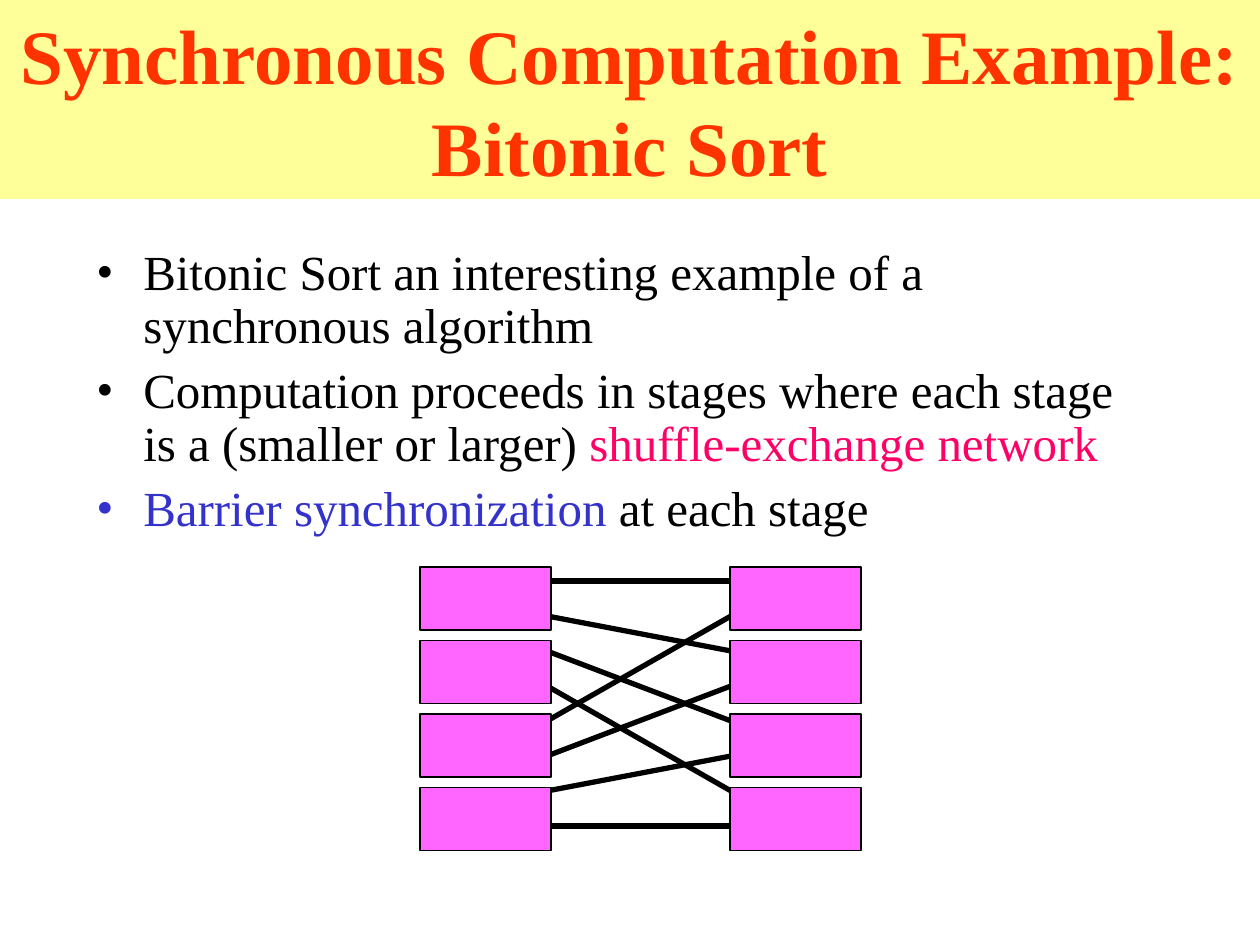
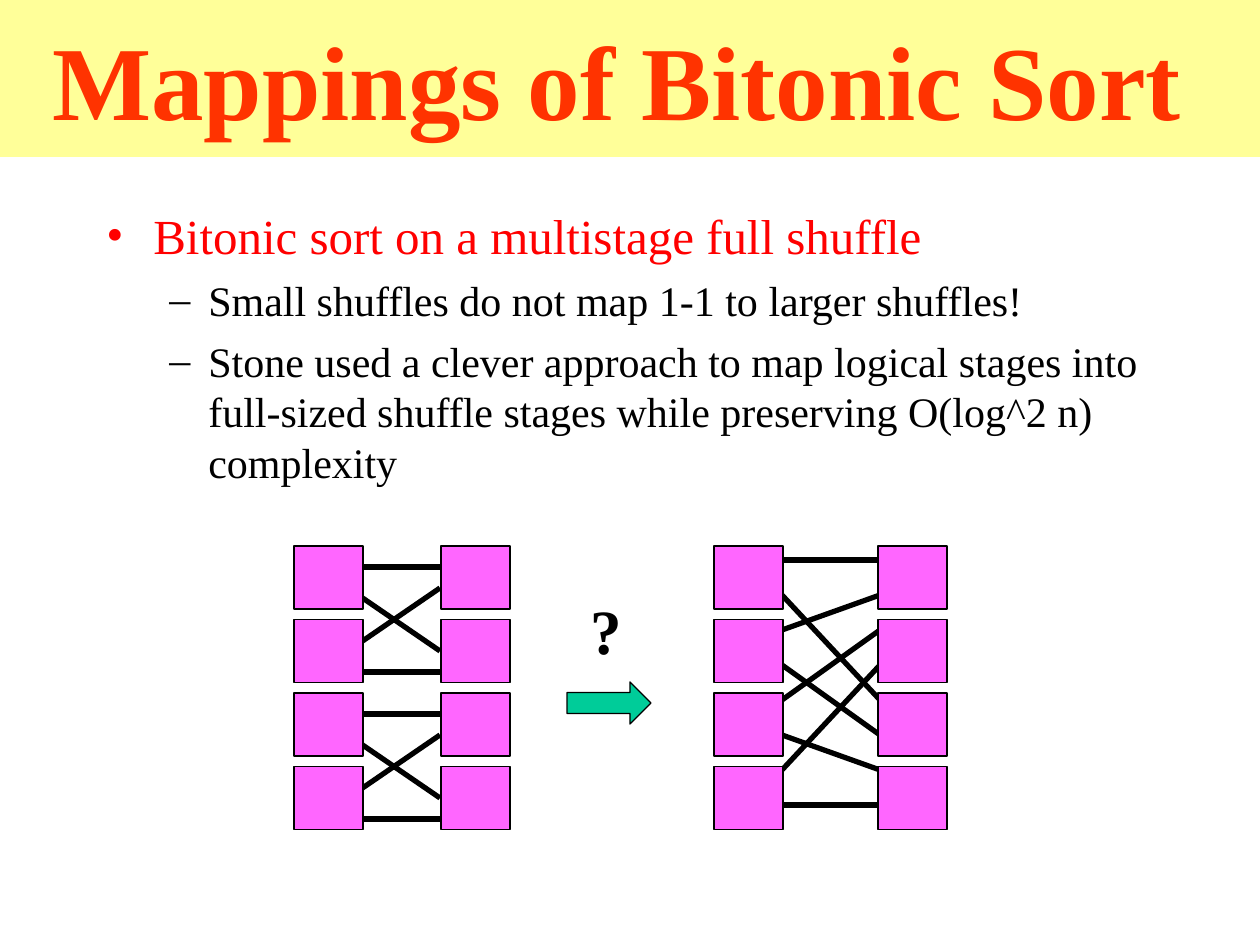
import pptx
import pptx.util
import pptx.dml.color
import pptx.enum.shapes
import pptx.enum.text
import pptx.oxml
import pptx.oxml.ns
import lxml.etree

RGBColor = pptx.dml.color.RGBColor
MSO_SHAPE = pptx.enum.shapes.MSO_SHAPE
PP_ALIGN = pptx.enum.text.PP_ALIGN
MSO_ANCHOR = pptx.enum.text.MSO_ANCHOR

BLACK = RGBColor(0x00, 0x00, 0x00)
BAND_YELLOW = RGBColor(0xFF, 0xFF, 0x99)
TITLE_ORANGE = RGBColor(0xFF, 0x33, 0x00)
NODE_PINK = RGBColor(0xFF, 0x66, 0xFF)
ARROW_GREEN = RGBColor(0x00, 0xCC, 0x99)
ROSE = RGBColor(0xFF, 0x00, 0x66)
BLUE = RGBColor(0x33, 0x33, 0xCC)
RED = RGBColor(0xFF, 0x00, 0x00)

FONT = "Times New Roman"
PX = 914400 / 126
SLIDE_SIZE = (1260, 945)

LEVELS = [
    {"bullet": "•", "margin": 47, "hanging": 47, "size": 28, "space": 7},
    {"bullet": "–", "margin": 102, "hanging": 39, "size": 24, "space": 6},
]

ROW_COUNT = 4
NODE_HEIGHT = 63
ROW_PAIR_PITCH = 147
FULL_PORTS = [14 + 35 * port for port in range(8)]
FULL_LINKS = [(port, 7 if port == 7 else 2 * port % 7) for port in range(8)]
SMALL_PORTS = [
    pair * ROW_PAIR_PITCH + offset for pair in range(2) for offset in (21, 42, 105, 126)
]
SMALL_LINKS = [
    (4 * pair + start, 4 * pair + end)
    for pair in range(2)
    for start, end in ((0, 0), (1, 2), (2, 1), (3, 3))
]

SLIDES = [
    {
        "title": ("Synchronous Computation Example: Bitonic Sort", 44, 199),
        "body_box": (84, 242, 1071, 315),
        "line_spacing": 0.9,
        "body": [
            (0, [("Bitonic Sort an interesting example of a synchronous algorithm", BLACK)]),
            (0, [
                ("Computation proceeds in stages where each stage is a (smaller or larger) ", BLACK),
                ("shuffle-exchange network", ROSE),
            ]),
            (0, [("Barrier synchronization", BLUE), (" at each stage", BLACK)]),
        ],
        "networks": [
            {"columns": (420, 730), "node_width": 131, "top": 567, "span": (547, 731),
             "ports": FULL_PORTS, "links": FULL_LINKS},
        ],
    },
    {
        "title": ("Mappings of Bitonic Sort ", 60, 157),
        "body_box": (94, 199, 1071, 567),
        "line_spacing": 1.0,
        "body": [
            (0, [("Bitonic sort on a multistage full shuffle", RED)]),
            (1, [("Small shuffles do not map 1-1 to larger shuffles!", BLACK)]),
            (1, [("Stone used a clever approach to map logical stages into full-sized "
                  "shuffle stages while preserving O(log^2 n) complexity", BLACK)]),
        ],
        "networks": [
            {"columns": (714, 878), "node_width": 69, "top": 546, "span": (880, 782),
             "ports": FULL_PORTS, "links": FULL_LINKS},
            {"columns": (294, 441), "node_width": 69, "top": 546, "span": (348, 440),
             "ports": SMALL_PORTS, "links": SMALL_LINKS},
        ],
        "arrow": (567, 682, 84, 42),
        "question": ("?", 36, (578, 585, 57, 88)),
    },
]


def px(length):
    return pptx.util.Emu(round(length * PX))


def box(values):
    return [px(value) for value in values]


def set_attributes(target, values):
    for name, value in values.items():
        setattr(target, name, value)


def add_run(paragraph, text, size, color, bold=False):
    run = paragraph.add_run()
    run.text = text
    set_attributes(run.font, {"name": FONT, "size": pptx.util.Pt(size), "bold": bold})
    run.font.color.rgb = color


def add_filled_shape(slide, kind, bounds, fill, outlined=True):
    shape = slide.shapes.add_shape(kind, *box(bounds))
    shape.shadow.inherit = False
    shape.fill.solid()
    shape.fill.fore_color.rgb = fill
    if outlined:
        shape.line.color.rgb = BLACK
        shape.line.width = pptx.util.Pt(0.75)
    else:
        shape.line.fill.background()
    return shape


def add_title(slide, text, size, height):
    band = add_filled_shape(
        slide, MSO_SHAPE.RECTANGLE, (0, 0, SLIDE_SIZE[0], height), BAND_YELLOW, outlined=False
    )
    set_attributes(band.text_frame, {"word_wrap": True, "vertical_anchor": MSO_ANCHOR.MIDDLE})
    paragraph = band.text_frame.paragraphs[0]
    paragraph.alignment = PP_ALIGN.CENTER
    add_run(paragraph, text, size, TITLE_ORANGE, bold=True)


def add_bullet(paragraph, level, color):
    properties = paragraph._p.get_or_add_pPr()
    properties.set("marL", str(px(level["margin"])))
    properties.set("indent", str(-px(level["hanging"])))
    qn = pptx.oxml.ns.qn
    bullet_color = lxml.etree.SubElement(properties, qn("a:buClr"))
    lxml.etree.SubElement(bullet_color, qn("a:srgbClr")).set("val", str(color))
    lxml.etree.SubElement(properties, qn("a:buFont")).set("typeface", FONT)
    lxml.etree.SubElement(properties, qn("a:buChar")).set("char", level["bullet"])


def add_body(slide, bounds, line_spacing, items):
    frame = slide.shapes.add_textbox(*box(bounds)).text_frame
    frame.word_wrap = True
    for index, (depth, runs) in enumerate(items):
        paragraph = frame.add_paragraph() if index else frame.paragraphs[0]
        level = LEVELS[depth]
        add_bullet(paragraph, level, runs[0][1])
        set_attributes(paragraph, {
            "level": depth,
            "line_spacing": line_spacing,
            "space_before": pptx.util.Pt(level["space"] if index else 0),
        })
        for text, color in runs:
            add_run(paragraph, text, level["size"], color)


def add_link(slide, start, end):
    link = slide.shapes.add_connector(
        pptx.enum.shapes.MSO_CONNECTOR.STRAIGHT, *box(start + end)
    )
    link.line.color.rgb = BLACK
    link.line.width = pptx.util.Pt(3)
    lxml.etree.SubElement(link._element.spPr, pptx.oxml.ns.qn("a:effectLst"))


def add_network(slide, columns, node_width, top, span, ports, links):
    for start, end in links:
        add_link(slide, (span[0], top + ports[start]), (span[1], top + ports[end]))
    for left in columns:
        for row in range(ROW_COUNT):
            node_top = top + row * ROW_PAIR_PITCH / 2
            add_filled_shape(
                slide, MSO_SHAPE.RECTANGLE, (left, node_top, node_width, NODE_HEIGHT), NODE_PINK
            )


def add_question(slide, text, size, bounds):
    frame = slide.shapes.add_textbox(*box(bounds)).text_frame
    frame.word_wrap = False
    add_run(frame.paragraphs[0], text, size, BLACK, bold=True)


def main():
    presentation = pptx.Presentation()
    presentation.slide_width, presentation.slide_height = box(SLIDE_SIZE)
    for content in SLIDES:
        slide = presentation.slides.add_slide(presentation.slide_layouts[6])
        add_title(slide, *content["title"])
        add_body(slide, content["body_box"], content["line_spacing"], content["body"])
        for network in content["networks"]:
            add_network(slide, **network)
        if "arrow" in content:
            add_filled_shape(slide, MSO_SHAPE.RIGHT_ARROW, content["arrow"], ARROW_GREEN)
        if "question" in content:
            add_question(slide, *content["question"])
    presentation.save("out.pptx")


if __name__ == "__main__":
    main()
